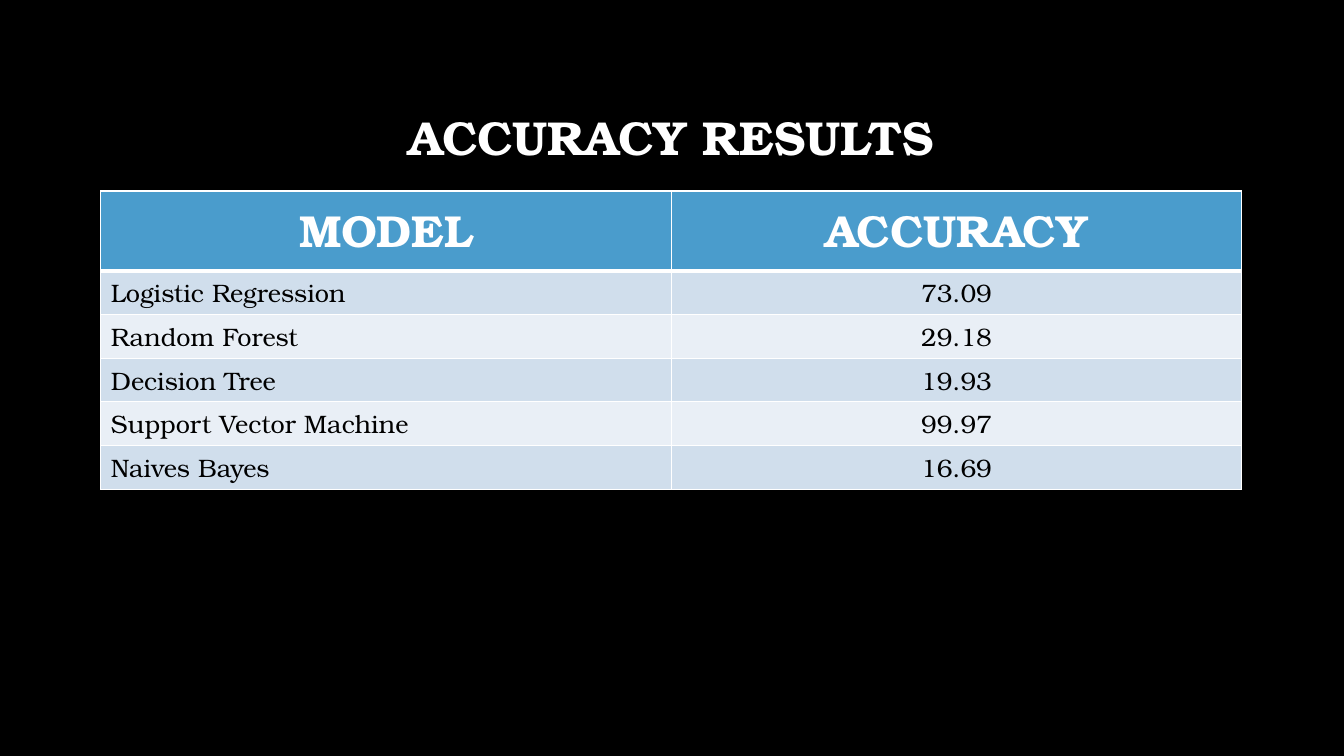
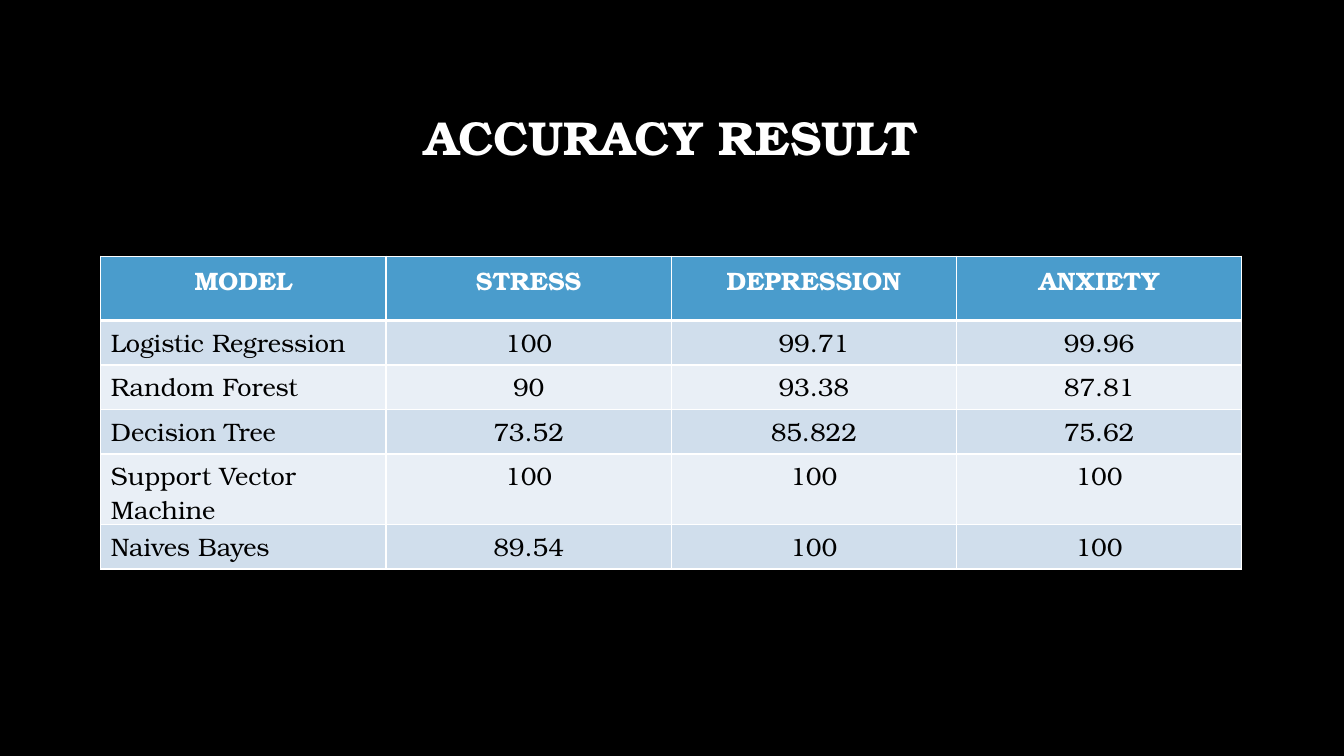
from lxml.etree import SubElement
from pptx import Presentation
from pptx.dml.color import RGBColor
from pptx.enum.text import MSO_ANCHOR as Anchor, PP_ALIGN as Align
from pptx.oxml.ns import qn
from pptx.util import Pt


def rgb(color):
    return RGBColor.from_string(color)


class Deck:
    """Holds the shared style and the slide being built."""

    FONT = "TeX Gyre Bonum"
    BLACK, WHITE, BLUE = "000000", "FFFFFF", "4A9CCC"
    BANDS = ("D0DEEC", "E9EFF6")
    LEFT, WIDTH = 72, 815

    def __init__(self):
        self.deck = Presentation()
        self.deck.slide_width, self.deck.slide_height = Pt(960), Pt(540)
        self.slide = None

    def set_text(self, frame, text, size, color, bold=False, align=Align.CENTER):
        paragraph = frame.paragraphs[0]
        paragraph.text = text
        paragraph.alignment = align
        font = paragraph.font
        font.name, font.size, font.bold = self.FONT, Pt(size), bold
        font.color.rgb = rgb(color)
        return paragraph

    def add_slide(self, title):
        self.slide = self.deck.slides.add_slide(self.deck.slide_layouts[6])
        background = self.slide.background.fill
        background.solid()
        background.fore_color.rgb = rgb(self.BLACK)
        heading = self.slide.shapes.add_textbox(
            Pt(self.LEFT), Pt(48), Pt(self.WIDTH), Pt(104.4))
        heading.text_frame.word_wrap = True
        heading.text_frame.vertical_anchor = Anchor.MIDDLE
        self.set_text(heading.text_frame, title, 34, self.WHITE, True).line_spacing = 0.9

    def style_cell(self, cell, color, top, bottom):
        properties = cell._tc.get_or_add_tcPr()
        for side, weight in (("L", 1), ("R", 1), ("T", top), ("B", bottom)):
            line = SubElement(properties, qn(f"a:ln{side}"), w=str(Pt(weight)))
            paint = SubElement(line, qn("a:solidFill"))
            SubElement(paint, qn("a:srgbClr"), val=self.WHITE)
        cell.fill.solid()
        cell.fill.fore_color.rgb = rgb(color)

    def add_results(self, top, header, rows, header_height, row_height, header_size):
        height = header_height + row_height * len(rows)
        results = self.slide.shapes.add_table(
            len(rows) + 1, len(header), Pt(self.LEFT), Pt(top),
            Pt(self.WIDTH), Pt(height)).table
        results.rows[0].height = Pt(header_height)
        for column, label in enumerate(header):
            cell = results.cell(0, column)
            self.style_cell(cell, self.BLUE, 1, 3)
            self.set_text(cell.text_frame, label, header_size, self.WHITE, True)
        for index, values in enumerate(rows, 1):
            results.rows[index].height = Pt(row_height)
            for column, value in enumerate(values):
                cell = results.cell(index, column)
                self.style_cell(cell, self.BANDS[(index - 1) % 2],
                                3 if index == 1 else 1, 1)
                self.set_text(cell.text_frame, value, 18, self.BLACK,
                              align=Align.CENTER if column else Align.LEFT)

    def save(self):
        self.deck.save("out.pptx")


MODELS = ("Logistic Regression", "Random Forest", "Decision Tree",
          "Support Vector Machine", "Naives Bayes")
ACCURACY = ("73.09", "29.18", "19.93", "99.97", "16.69")
STRESS = ("100", "90", "73.52", "100", "89.54")
DEPRESSION = ("99.71", "93.38", "85.822", "100", "100")
ANXIETY = ("99.96", "87.81", "75.62", "100", "100")


def main():
    deck = Deck()
    deck.add_slide("ACCURACY RESULTS")
    deck.add_results(136.5, ("MODEL", "ACCURACY"), list(zip(MODELS, ACCURACY)),
                     57, 31.2, 32)
    deck.add_slide("ACCURACY RESULT")
    deck.add_results(183, ("MODEL", "STRESS", "DEPRESSION", "ANXIETY"),
                     list(zip(MODELS, STRESS, DEPRESSION, ANXIETY)),
                     46, 31.75, 18)
    deck.save()


if __name__ == "__main__":
    main()
